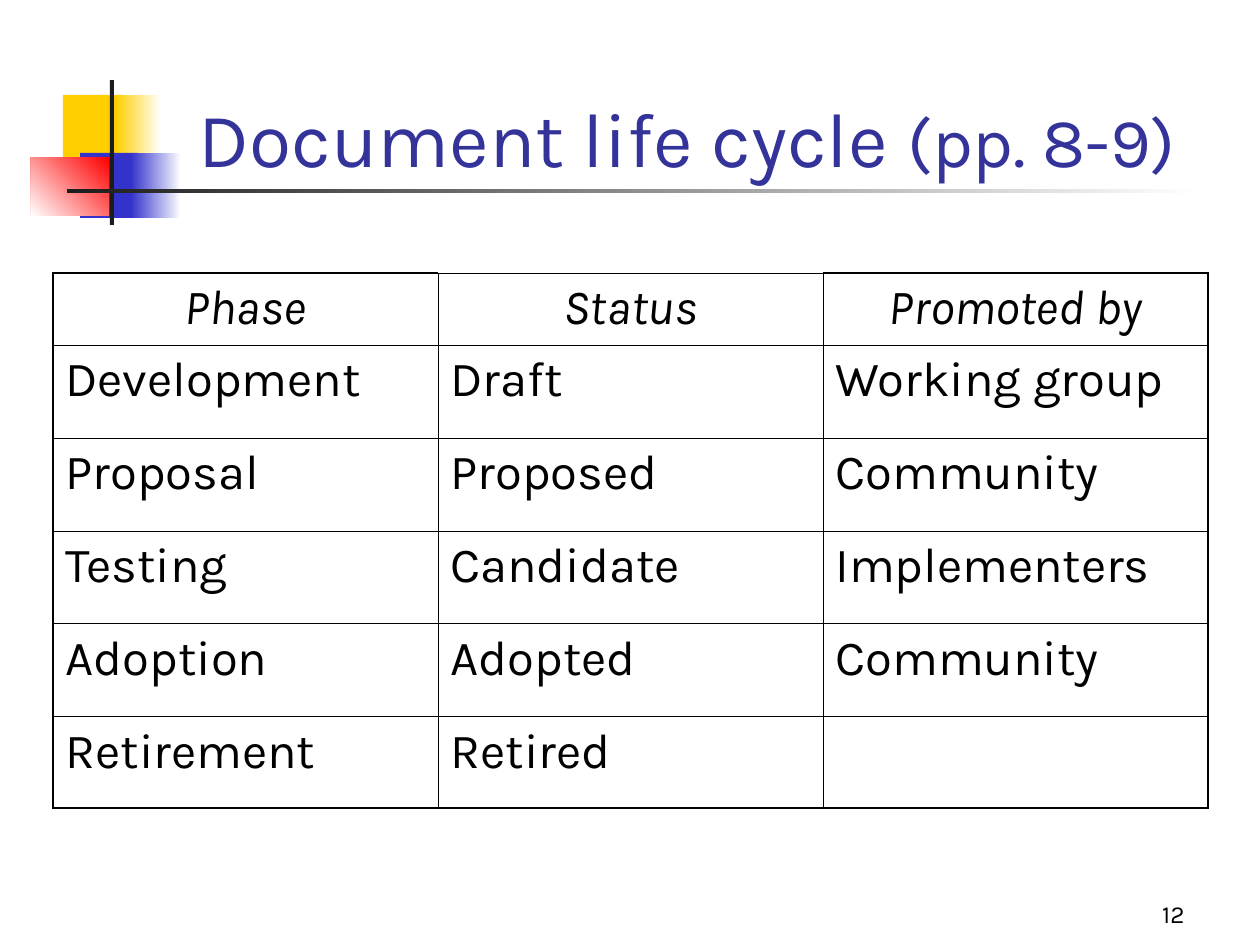
"""Builds the document life cycle slide with its phase table."""
import pptx
import pptx.dml.color
import pptx.enum.text
import pptx.oxml
import pptx.oxml.ns
import pptx.util

PX = 914400 / 126
FONT = "Karla"
BLACK = "000000"
ALIGN = pptx.enum.text.PP_ALIGN
ANCHOR = pptx.enum.text.MSO_ANCHOR

TITLE_BOX = (186, 32, 1074, 157)
TITLE_RUNS = [("Document life cycle ", 44), ("(pp. 8-9)", 40)]
NUMBER_BOX = (935, 872, 262, 63)
NUMBER_RUNS = [("12", 14)]

ORNAMENTS = [
    ((63, 95, 60, 65), ["FFCF01"], 0),
    ((116, 95, 45, 65), ["FFFFFF", "FFCF01"], 180),
    ((80, 153, 58, 65), ["3333CC"], 0),
    ((131, 153, 50, 65), ["FFFFFF", "3333CC"], 180),
    ((31, 157, 78, 59), ["FF0000", "FFFFFF"], 225),
    ((110, 80, 4, 145), ["1C1C1C"], 0),
    ((67, 189, 1134, 4), ["FFFFFF", "1C1C1C"], 180),
]

PHASES = [
    ("Phase", "Status", "Promoted by"),
    ("Development", "Draft", "Working group"),
    ("Proposal", "Proposed", "Community"),
    ("Testing", "Candidate", "Implementers"),
    ("Adoption", "Adopted", "Community"),
    ("Retirement", "Retired", ""),
]
TABLE_LEFT, TABLE_TOP, COLUMN_WIDTH = 53, 273, 385
ROW_HEIGHTS = [72, 93, 93, 93, 93, 91]
THIN, THICK = 0.45, 1.08
HEADER = {"alignment": ALIGN.CENTER, "space_before": pptx.util.Pt(7)}
BODY = {"alignment": ALIGN.LEFT, "space_before": pptx.util.Pt(10.5)}


def emu(*lengths):
    return [round(length * PX) for length in lengths]


def rgb(colour):
    return pptx.dml.color.RGBColor.from_string(colour)


def apply(target, values):
    for name, value in values.items():
        setattr(target, name, value)


def write(paragraph, runs, colour, italic=False, **layout):
    apply(paragraph, layout)
    for text, size in runs:
        run = paragraph.add_run()
        run.text = text
        apply(run.font, {"name": FONT, "size": pptx.util.Pt(size), "italic": italic})
        run.font.color.rgb = rgb(colour)


def set_frame(frame):
    apply(frame, {"word_wrap": True, "vertical_anchor": ANCHOR.BOTTOM,
                  "auto_size": pptx.enum.text.MSO_AUTO_SIZE.NONE})


def add_ornament(slide, box, colours, angle):
    ornament = slide.shapes.add_shape(1, *emu(*box))
    ornament.shadow.inherit = False
    ornament.line.fill.background()
    if len(colours) == 1:
        ornament.fill.solid()
        ornament.fill.fore_color.rgb = rgb(colours[0])
        return
    ornament.fill.gradient()
    ornament.fill.gradient_angle = angle
    for stop, colour in zip(ornament.fill.gradient_stops, colours):
        stop.color.rgb = rgb(colour)


def set_borders(cell, widths):
    properties = cell._tc.get_or_add_tcPr()
    for side, width in widths.items():
        properties.append(pptx.oxml.parse_xml(
            f'<a:ln{side} {pptx.oxml.ns.nsdecls("a")} w="{pptx.util.Pt(width)}">'
            f'<a:solidFill><a:srgbClr val="{BLACK}"/></a:solidFill></a:ln{side}>'))


def add_phases(slide):
    rows, columns = len(PHASES), len(PHASES[0])
    frame = slide.shapes.add_table(rows, columns, *emu(
        TABLE_LEFT, TABLE_TOP, columns * COLUMN_WIDTH, sum(ROW_HEIGHTS)))
    table = frame.table
    apply(table, {"first_row": False, "horz_banding": False})
    for column in table.columns:
        column.width = emu(COLUMN_WIDTH)[0]
    for r, (phase, height) in enumerate(zip(PHASES, ROW_HEIGHTS)):
        table.rows[r].height = emu(height)[0]
        for c, text in enumerate(phase):
            cell = table.cell(r, c)
            thick = {"L": c == 0, "R": c == columns - 1,
                     "T": r == 0 and c != 1, "B": r == rows - 1}
            set_borders(cell, {side: THICK if outer else THIN
                               for side, outer in thick.items()})
            cell.fill.background()
            if text:
                write(cell.text_frame.paragraphs[0], [(text, 28)], BLACK,
                      italic=r == 0, **(BODY if r else HEADER))


def main():
    deck = pptx.Presentation()
    deck.slide_width, deck.slide_height = emu(1260, 945)
    slide = deck.slides.add_slide(deck.slide_layouts[5])
    for ornament in ORNAMENTS:
        add_ornament(slide, *ornament)

    title = slide.shapes.title
    title.element.getparent().append(title.element)
    apply(title, dict(zip(("left", "top", "width", "height"), emu(*TITLE_BOX))))
    set_frame(title.text_frame)
    write(title.text_frame.paragraphs[0], TITLE_RUNS, "333399", alignment=ALIGN.LEFT)

    add_phases(slide)

    number = slide.shapes.add_textbox(*emu(*NUMBER_BOX))
    set_frame(number.text_frame)
    write(number.text_frame.paragraphs[0], NUMBER_RUNS, BLACK, alignment=ALIGN.RIGHT)
    deck.save("out.pptx")


if __name__ == "__main__":
    main()
